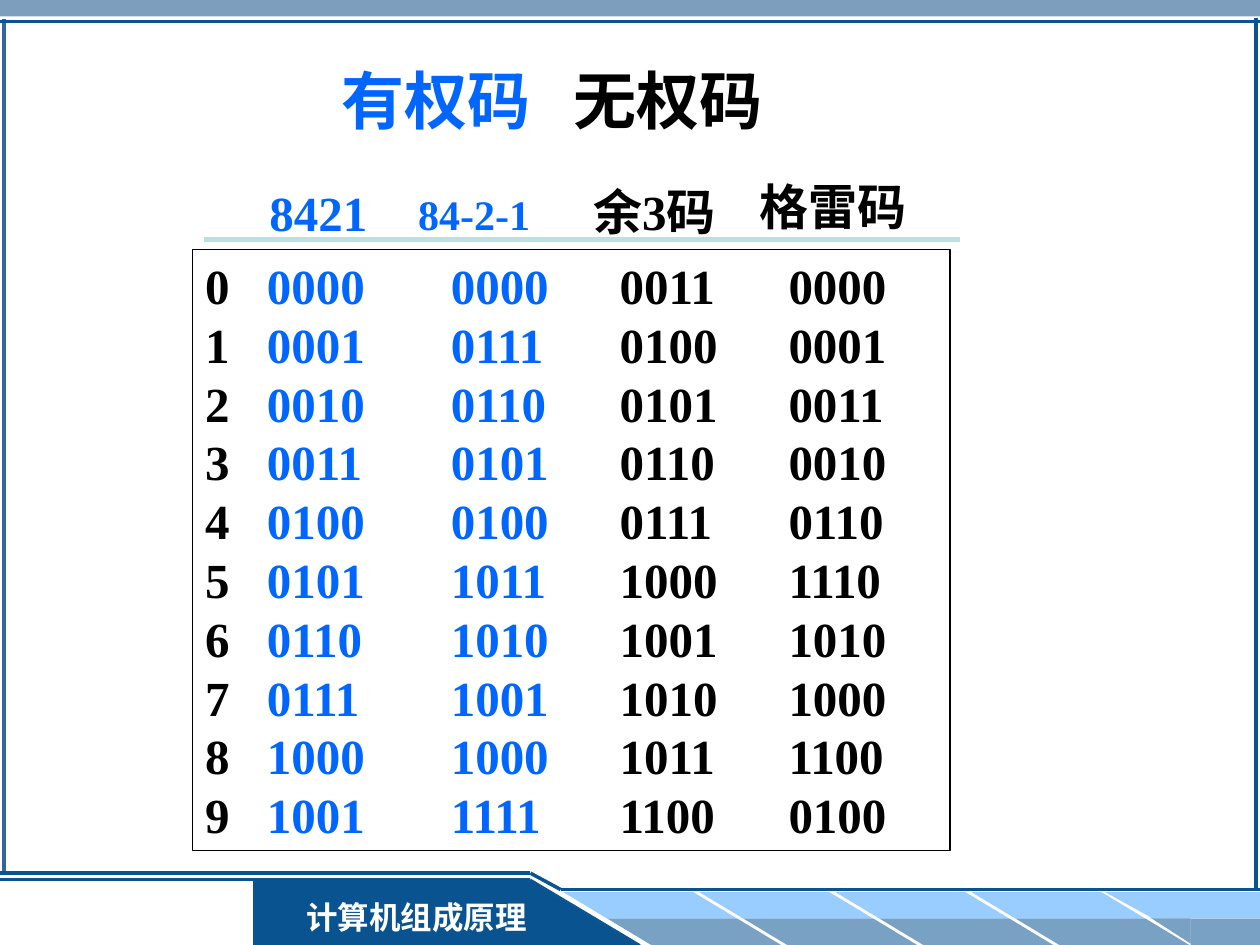
import pptx
import pptx.dml.color
import pptx.enum.shapes
import pptx.enum.text
import pptx.util
import lxml.etree
from pptx.oxml.ns import qn
from pptx.util import Inches

COLORS = {
    "navy": "095391", "steel": "336699", "sky": "99CCFF", "blue": "0066FF",
    "pale": "BBE0E3", "black": "000000", "white": "FFFFFF",
}
SHAPES = pptx.enum.shapes.MSO_SHAPE
ALIGN = pptx.enum.text.PP_ALIGN
ANCHOR = pptx.enum.text.MSO_ANCHOR
CODE_TABS = [0.49, 1.95, 3.29, 4.63]

# 8421, 84-2-1, excess-3 and Gray code of each decimal digit
CODES = [
    ("0000", "0000", "0011", "0000"),
    ("0001", "0111", "0100", "0001"),
    ("0010", "0110", "0101", "0011"),
    ("0011", "0101", "0110", "0010"),
    ("0100", "0100", "0111", "0110"),
    ("0101", "1011", "1000", "1110"),
    ("0110", "1010", "1001", "1010"),
    ("0111", "1001", "1010", "1000"),
    ("1000", "1000", "1011", "1100"),
    ("1001", "1111", "1100", "0100"),
]


def rgb(name):
    return pptx.dml.color.RGBColor.from_string(COLORS[name])


class SlidePainter:
    latin_font = "Times New Roman"
    asian_font = "Noto Sans CJK SC"

    def __init__(self, slide):
        self.slide = slide

    def shape(self, kind, at, fill=None, opacity=100, flip="", adjust=None):
        """Draw a preset shape without outline; flip names the axes, as in "hv"."""
        shape = self.slide.shapes.add_shape(kind, *map(Inches, at))
        shape.shadow.inherit = False
        shape.line.fill.background()
        if fill:
            shape.fill.solid()
            shape.fill.fore_color.rgb = rgb(fill)
        else:
            shape.fill.background()
        if opacity < 100:
            color = shape.element.spPr.find(qn("a:solidFill"))[0]
            lxml.etree.SubElement(color, qn("a:alpha"), val=str(opacity * 1000))
        for axis in flip:
            shape.element.spPr.find(qn("a:xfrm")).set("flip" + axis.upper(), "1")
        if adjust:
            shape.adjustments[0] = adjust
        return shape

    def line(self, start, end, color="navy", width=2):
        line = self.slide.shapes.add_connector(
            pptx.enum.shapes.MSO_CONNECTOR.STRAIGHT, *map(Inches, start + end))
        line.line.color.rgb = rgb(color)
        line.line.width = pptx.util.Pt(width)
        lxml.etree.SubElement(line.element.spPr, qn("a:effectLst"))

    def paragraph(self, para, spans, size, tabs=(), align=ALIGN.LEFT):
        """Fill para with (text, color[, size]) spans."""
        para.alignment = align
        if tabs:
            tab_list = lxml.etree.SubElement(para._p.get_or_add_pPr(), qn("a:tabLst"))
            for tab in tabs:
                lxml.etree.SubElement(tab_list, qn("a:tab"), pos=str(Inches(tab)), algn="l")
        para.font.name = self.latin_font
        para.font.bold = True
        para.font.size = pptx.util.Pt(size)
        lxml.etree.SubElement(para.font._element, qn("a:ea"), typeface=self.asian_font)
        for text, color, *own_size in spans:
            span = para.add_run()
            span.text = text
            span.font.color.rgb = rgb(color)
            if own_size:
                span.font.size = pptx.util.Pt(own_size[0])

    def text(self, at, spans, size, tabs=()):
        box = self.slide.shapes.add_textbox(*map(Inches, at))
        box.text_frame.word_wrap = True
        self.paragraph(box.text_frame.paragraphs[0], spans, size, tabs)
        return box


def draw_frame(painter):
    painter.shape(SHAPES.RECTANGLE, (0, 0, 10, 0.13), "steel", 63)
    painter.line((0.03, 0.15), (0.03, 6.93), "steel")
    painter.line((0, 0.17), (10, 0.17))
    painter.line((9.97, 0.14), (9.97, 7.07))


def draw_footer(painter):
    painter.shape(SHAPES.RECTANGLE, (2.01, 6.98, 2.2, 0.52), "navy")
    painter.line((5.08, 7.5), (4.21, 6.98), width=1)
    painter.line((4.21, 6.98), (0, 6.98), width=1.5)
    painter.line((0, 6.93), (4.21, 6.93))

    for index in range(4):
        left = 4.47 + 1.08 * index
        painter.shape(SHAPES.PARALLELOGRAM, (left, 7.08, 1.38, 0.21), "sky",
                      flip="h", adjust=1.66)
        painter.shape(SHAPES.PARALLELOGRAM, (left + 0.35, 7.29, 1.38, 0.21), "navy", 54,
                      flip="h", adjust=1.66)
    painter.shape(SHAPES.RECTANGLE, (9.13, 7.08, 0.87, 0.21), "sky")
    painter.shape(SHAPES.RIGHT_TRIANGLE, (8.77, 7.08, 0.38, 0.21), "sky", flip="hv")
    painter.shape(SHAPES.RECTANGLE, (9.45, 7.29, 0.55, 0.21), "navy", 54)
    painter.shape(SHAPES.RIGHT_TRIANGLE, (9.14, 7.29, 0.31, 0.2), "navy", 54, flip="hv")
    painter.line((4.45, 7.06), (10, 7.06))

    course = painter.shape(SHAPES.RECTANGLE, (2.28, 7.08, 2.05, 0.4), "navy")
    course.text_frame.vertical_anchor = ANCHOR.MIDDLE
    painter.paragraph(course.text_frame.paragraphs[0], [("计算机组成原理", "white")], 18,
                      align=ALIGN.CENTER)
    painter.shape(SHAPES.RIGHT_TRIANGLE, (4.2, 6.98, 0.87, 0.52), "navy")
    painter.line((4.21, 6.93), (4.45, 7.06))


def draw_codes(painter):
    box = painter.shape(SHAPES.RECTANGLE, (1.53, 1.98, 6.01, 4.77))
    box.line.color.rgb = rgb("black")
    box.line.width = pptx.util.Pt(0.75)
    frame = box.text_frame
    frame.vertical_anchor = ANCHOR.TOP
    for digit, (natural, signed, excess, gray) in enumerate(CODES):
        para = frame.add_paragraph() if digit else frame.paragraphs[0]
        para.line_spacing = pptx.util.Pt(33.6)
        spans = [(f"{digit}\t", "black"), (f"{natural}\t{signed}\t", "blue"),
                 (f"{excess}\t{gray}", "black")]
        painter.paragraph(para, spans, 28, CODE_TABS)


def draw_headings(painter):
    title = painter.text((1.71, 0.44, 5.32, 0.7),
                         [("有权码\t", "blue"), ("无权码", "black")], 36, [1.84])
    title.text_frame.margin_left = Inches(1)
    painter.text((2.04, 1.4, 1.1, 0.57), [("8421", "blue")], 28)
    painter.text((3.22, 1.39, 2.9, 0.57),
                 [("84-2-1\t", "blue", 24), ("余3码", "black")], 28, [1.39])
    painter.text((5.93, 1.35, 1.37, 0.57), [("格雷码", "black")], 28)
    painter.line((1.62, 1.9), (7.62, 1.9), "pale", 3)


def main():
    deck = pptx.Presentation()
    deck.slide_width, deck.slide_height = Inches(10), Inches(7.5)
    painter = SlidePainter(deck.slides.add_slide(deck.slide_layouts[6]))
    draw_frame(painter)
    draw_footer(painter)
    draw_codes(painter)
    draw_headings(painter)
    deck.save("out.pptx")


if __name__ == "__main__":
    main()
